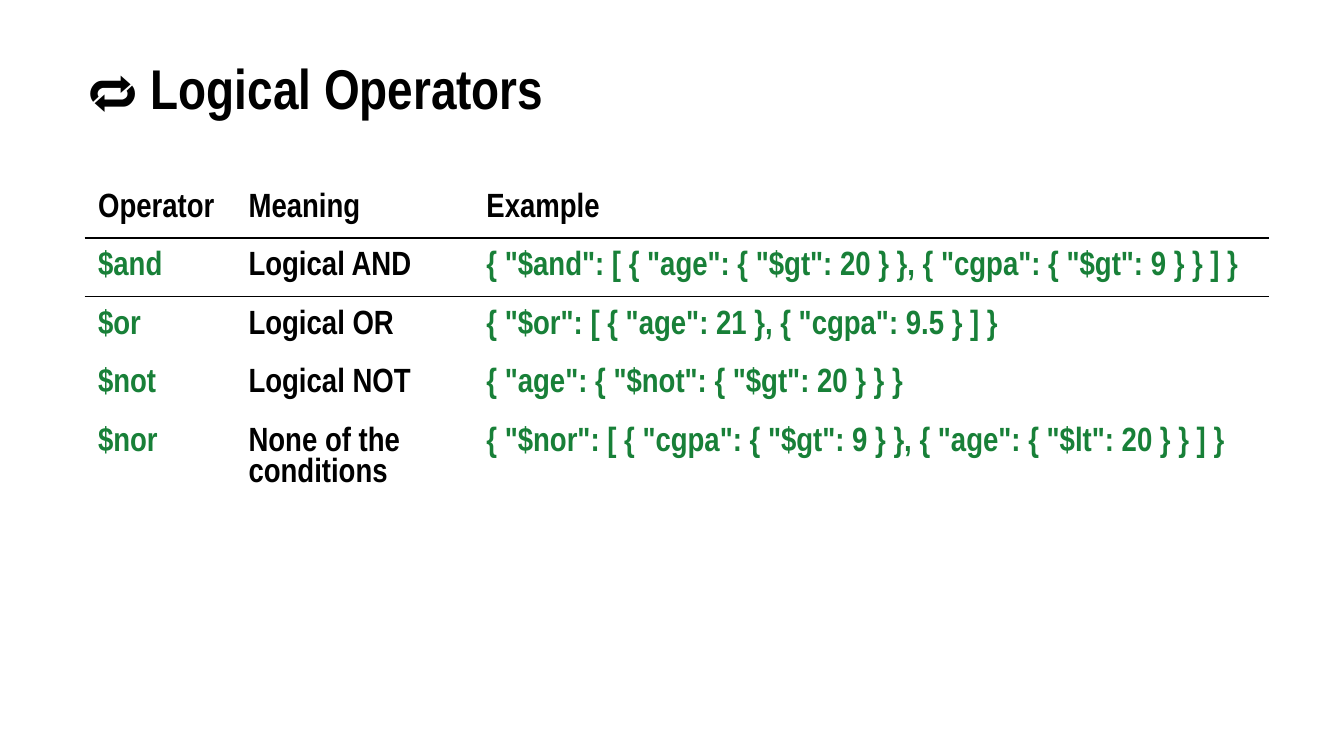
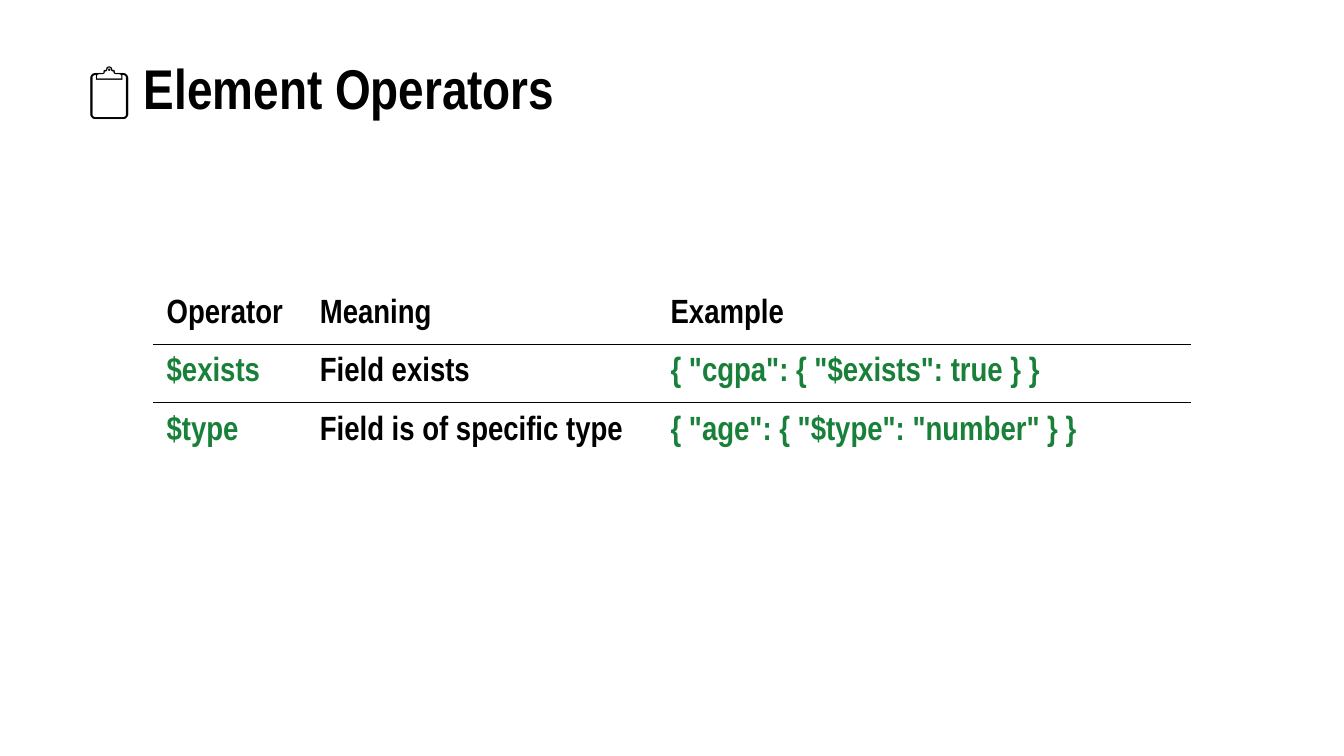
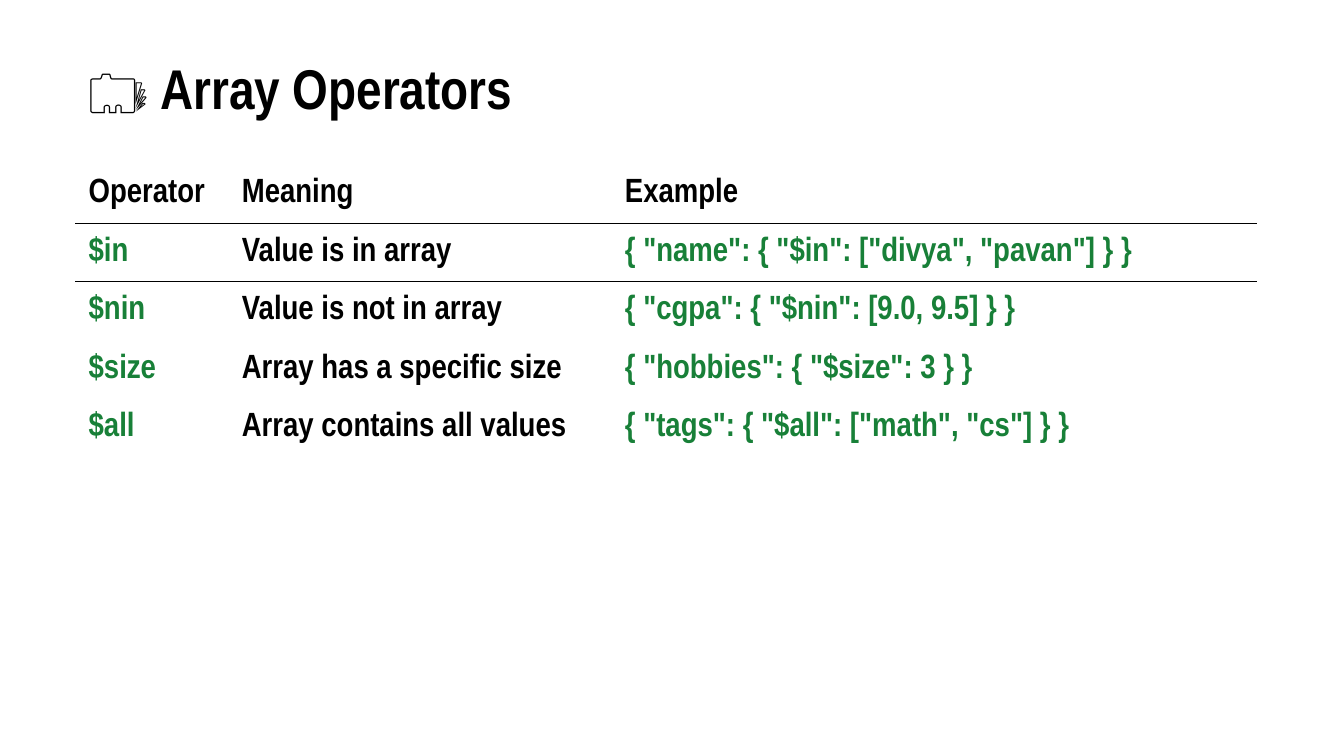
import pptx
import pptx.dml.color
import pptx.enum.text
import pptx.oxml
import pptx.oxml.ns
import pptx.util
from pptx.util import Inches

COLORS = {"text": "000000", "code": "188038", "rule": "000000"}
FONT = "Arial Narrow"
HEADERS = ("Operator", "Meaning", "Example")
MARGIN = Inches(0.1)
ROW_HEIGHT = 0.21

SLIDES = [
    {
        "title": "🔁 Logical Operators",
        "position": (0.63, 1.3),
        "columns": (1.12, 1.77, 5.92),
        "rows": [
            ("$and", "Logical AND", '{ "$and": [ { "age": { "$gt": 20 } }, { "cgpa": { "$gt": 9 } } ] }'),
            ("$or", "Logical OR", '{ "$or": [ { "age": 21 }, { "cgpa": 9.5 } ] }'),
            ("$not", "Logical NOT", '{ "age": { "$not": { "$gt": 20 } } }'),
            ("$nor", "None of the conditions", '{ "$nor": [ { "cgpa": { "$gt": 9 } }, { "age": { "$lt": 20 } } ] }'),
        ],
    },
    {
        "title": "📋 Element Operators",
        "position": (1.14, 2.09),
        "columns": (1.14, 2.61, 3.97),
        "rows": [
            ("$exists", "Field exists", '{ "cgpa": { "$exists": true } }'),
            ("$type", "Field is of specific type", '{ "age": { "$type": "number" } }'),
        ],
    },
    {
        "title": "🗂️ Array Operators",
        "position": (0.56, 1.19),
        "columns": (1.14, 2.85, 4.8),
        "rows": [
            ("$in", "Value is in array", '{ "name": { "$in": ["divya", "pavan"] } }'),
            ("$nin", "Value is not in array", '{ "cgpa": { "$nin": [9.0, 9.5] } }'),
            ("$size", "Array has a specific size", '{ "hobbies": { "$size": 3 } }'),
            ("$all", "Array contains all values", '{ "tags": { "$all": ["math", "cs"] } }'),
        ],
    },
]


def write_text(text_frame, text, size=18, color="text", line_spacing=1.0, space_after=0):
    text_frame.word_wrap = True
    paragraph = text_frame.paragraphs[0]
    paragraph.alignment = pptx.enum.text.PP_ALIGN.LEFT
    paragraph.line_spacing = line_spacing
    paragraph.space_after = pptx.util.Pt(space_after)
    run = paragraph.add_run()
    run.text = text
    run.font.name = FONT
    run.font.size = pptx.util.Pt(size)
    run.font.bold = True
    run.font.color.rgb = pptx.dml.color.RGBColor.from_string(COLORS[color])


def set_margins(target):
    target.margin_left = target.margin_right = MARGIN
    target.margin_top = target.margin_bottom = MARGIN


def set_borders(cell, ruled_sides):
    """Rule the given sides and clear the others, ahead of the cell fill."""
    properties = cell._tc.get_or_add_tcPr()
    namespace = pptx.oxml.ns.nsdecls("a")
    for index, side in enumerate(("L", "R", "T", "B")):
        fill = "<a:noFill/>"
        if side in ruled_sides:
            fill = f'<a:solidFill><a:srgbClr val="{COLORS["rule"]}"/></a:solidFill>'
        border = pptx.oxml.parse_xml(f'<a:ln{side} {namespace} w="9525">{fill}</a:ln{side}>')
        properties.insert(index, border)


def add_title(slide, text):
    title = slide.shapes.title
    title.left, title.top = Inches(0.56), Inches(0.33)
    title.width, title.height = Inches(8.87), Inches(0.56)
    text_frame = title.text_frame
    text_frame.auto_size = pptx.enum.text.MSO_AUTO_SIZE.NONE
    text_frame.vertical_anchor = pptx.enum.text.MSO_ANCHOR.MIDDLE
    set_margins(text_frame)
    write_text(text_frame, text, size=30, line_spacing=1.15, space_after=4)


def add_operator_table(slide, position, columns, rows):
    all_rows = [HEADERS, *rows]
    left, top = position
    frame = slide.shapes.add_table(
        len(all_rows), len(columns), Inches(left), Inches(top),
        Inches(sum(columns)), Inches(ROW_HEIGHT * len(all_rows)))
    table = frame.table
    table.first_row = table.horz_banding = False
    for column, width in zip(table.columns, columns):
        column.width = Inches(width)
    for row_index, values in enumerate(all_rows):
        table.rows[row_index].height = Inches(ROW_HEIGHT)
        is_header = row_index == 0
        # Rules lie under the header and under the first operator
        ruled_sides = ("B" if row_index < 2 else "") + ("T" if row_index in (1, 2) else "")
        for column_index, value in enumerate(values):
            cell = table.cell(row_index, column_index)
            set_margins(cell)
            cell.fill.background()
            set_borders(cell, ruled_sides)
            is_code = not is_header and column_index != 1
            write_text(cell.text_frame, value, color="code" if is_code else "text",
                       line_spacing=1.15 if is_header else 1.0)


def main():
    presentation = pptx.Presentation()
    # Widescreen, 16 to 9
    presentation.slide_width = Inches(10)
    presentation.slide_height = presentation.slide_width * 9 // 16
    title_only = presentation.slide_layouts[5]
    for content in SLIDES:
        slide = presentation.slides.add_slide(title_only)
        add_title(slide, content["title"])
        add_operator_table(slide, content["position"], content["columns"], content["rows"])
    presentation.save("out.pptx")


if __name__ == "__main__":
    main()
